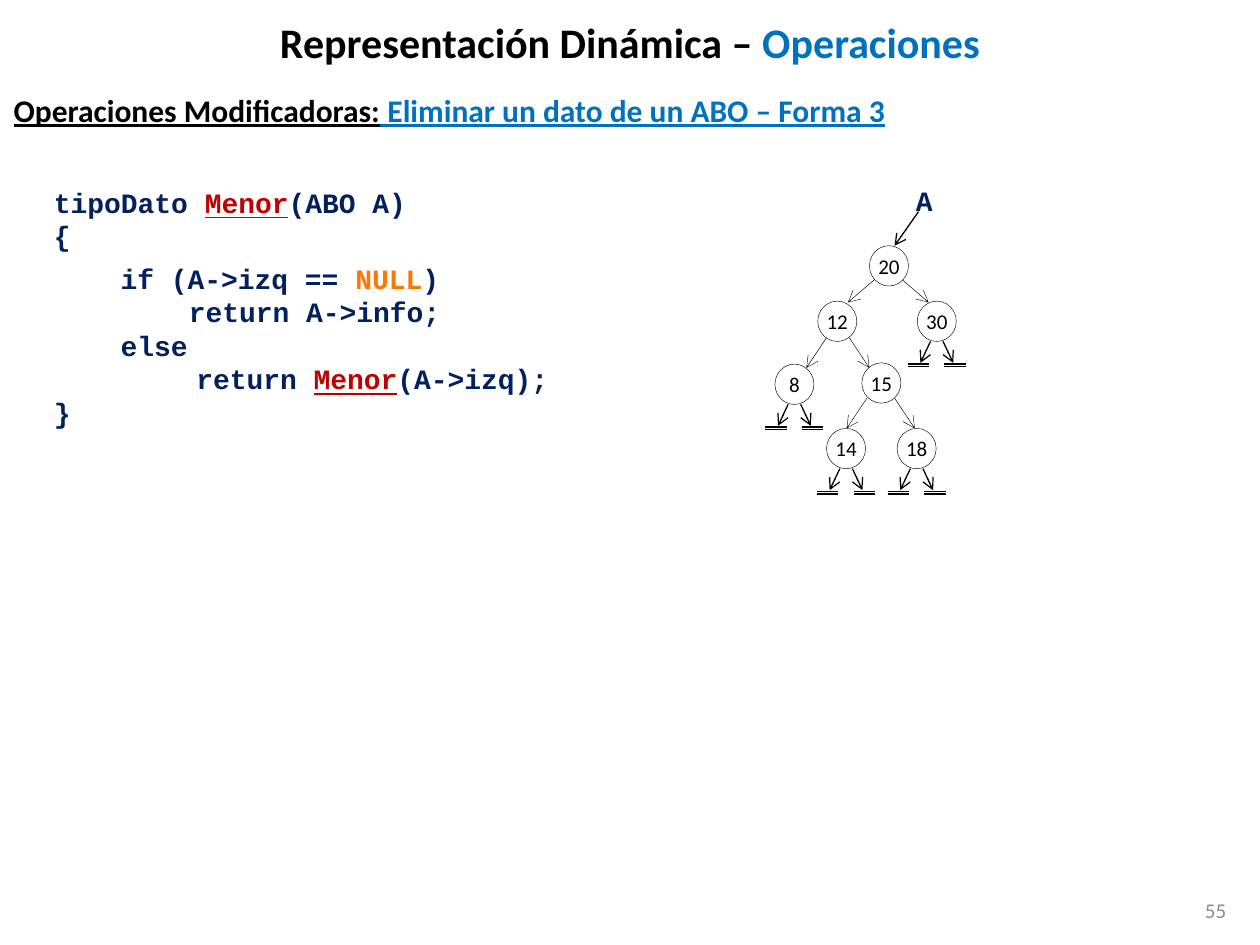
from lxml.etree import SubElement
from pptx import Presentation
from pptx.dml.color import RGBColor
from pptx.enum.shapes import MSO_CONNECTOR, MSO_SHAPE
from pptx.enum.text import MSO_ANCHOR, PP_ALIGN
from pptx.oxml.ns import qn
from pptx.util import Inches, Pt

BLACK, BLUE, NAVY, RED, ORANGE, GRAY = (
    "000000", "0070C0", "002060", "C00000", "FF7700", "8C8C8C")

deck = Presentation()
deck.slide_width, deck.slide_height = Inches(10), Inches(7.5)
slide = deck.slides.add_slide(deck.slide_layouts[6])


def add_text(box, rows, align=PP_ALIGN.LEFT, anchor=MSO_ANCHOR.TOP, wrap=True, **base):
    """Each row is a list of (text, color, extra font values)."""
    frame = slide.shapes.add_textbox(*map(Inches, box)).text_frame
    frame.word_wrap, frame.vertical_anchor = wrap, anchor
    for i, row in enumerate(rows):
        para = frame.add_paragraph() if i else frame.paragraphs[0]
        para.alignment = align
        for text, color, extra in row:
            run = para.add_run()
            run.text = text
            for key, value in {**base, **extra}.items():
                setattr(run.font, key, value)
            run.font.color.rgb = RGBColor.from_string(color)
    return frame


def add_line(x1, y1, x2, y2, width=0.75, arrow=True):
    line = slide.shapes.add_connector(
        MSO_CONNECTOR.STRAIGHT, *map(Inches, (x1, y1, x2, y2)))
    line.line.width = Pt(width)
    line.line.color.rgb = RGBColor.from_string(BLACK)
    if arrow:
        SubElement(line.line._get_or_add_ln(), qn("a:tailEnd"), type="arrow")
    SubElement(line._element.spPr, qn("a:effectLst"))


# Page number, title and subtitle
add_text((7.5, 7.02, 2.33, 0.4), [[("55", GRAY, {})]], PP_ALIGN.RIGHT,
         MSO_ANCHOR.MIDDLE, name="Calibri", size=Pt(12))
add_text((0, 0, 10, 0.67),
         [[("Representación Dinámica –", BLACK, {}), (" Operaciones", BLUE, {})]],
         PP_ALIGN.CENTER, MSO_ANCHOR.MIDDLE, name="Calibri", size=Pt(24), bold=True)
head = add_text((0.01, 0.67, 9.99, 0.4),
                [[("Operaciones Modificadoras:", BLACK, {}),
                  (" Eliminar un dato de un ABO – Forma 3", BLUE, {})]],
                PP_ALIGN.JUSTIFY, name="Calibri", size=Pt(18), bold=True, underline=True)
props = head.paragraphs[0]._p.get_or_add_pPr()
props.set("marL", str(Inches(0.2)))
props.set("indent", str(Inches(-0.2)))

# Code, with the left indent of each row
call = ("Menor", RED, {"underline": True})
code = [
    (0, [("tipoDato ", NAVY, {}), call, ("(ABO A)", NAVY, {})]),
    (0, [("{", NAVY, {})]),
    (0.53, [("if (A->izq == ", NAVY, {}), ("NULL", ORANGE, {}), (")", NAVY, {})]),
    (1.07, [("return A->info;", NAVY, {})]),
    (0.53, [("else", NAVY, {})]),
    (1.13, [("return ", NAVY, {}), call, ("(A->izq);", NAVY, {})]),
    (0, [("}", NAVY, {})]),
]
mono = {"name": "Courier New", "size": Pt(16), "bold": True}
body = add_text((0.33, 1.42, 4.75, 2.05), [row for _, row in code], **mono)
for para, (left, _) in zip(body.paragraphs, code):
    props = para._p.get_or_add_pPr()
    props.set("marL", str(Inches(left)))
    props.set("indent", "0")
body.paragraphs[2].space_before = Pt(5)

# Root pointer
add_text((7.17, 1.41, 0.34, 0.37), [[("A", NAVY, {})]], wrap=False, **mono)
add_line(7.29, 1.68, 7.1, 1.95)

# Tree nodes: left, top
wide, high = 0.31, 0.32
nodes = {"20": (6.9, 1.95), "12": (6.49, 2.39), "30": (7.28, 2.39),
         "8": (6.15, 2.89), "15": (6.84, 2.88), "14": (6.56, 3.4), "18": (7.12, 3.4)}
for label, (x, y) in nodes.items():
    add_text((x - 0.03, y, 0.37, high), [[(label, BLACK, {})]], PP_ALIGN.CENTER,
             MSO_ANCHOR.MIDDLE, False, name="Calibri", size=Pt(12))
    ring = slide.shapes.add_shape(
        MSO_SHAPE.OVAL, *map(Inches, (x, y, wide, high)))
    ring.shadow.inherit = False
    ring.fill.background()
    ring.line.width = Pt(0.25)
    ring.line.color.rgb = RGBColor.from_string(BLACK)

# Branches: middle of each fork, start and end offsets, top and bottom
for mid, near, far, top, low in [(7.05, 0.11, 0.32, 2.22, 2.4),
                                 (6.65, 0.09, 0.25, 2.68, 2.92),
                                 (6.99, 0.11, 0.27, 3.16, 3.4)]:
    for side in (-1, 1):
        add_line(mid + side * near, top, mid + side * far, low, 0.25)

# Null links under nodes without children
for label in ("30", "8", "14", "18"):
    x, y = nodes[label]
    mid = x + wide / 2
    for side in (-1, 1):
        add_line(mid + side * 0.05, y + 0.32, mid + side * 0.13, y + 0.49)
        for drop in (0.5, 0.52):
            add_line(mid + side * 0.23, y + drop, mid + side * 0.06, y + drop, arrow=False)

deck.save("out.pptx")
